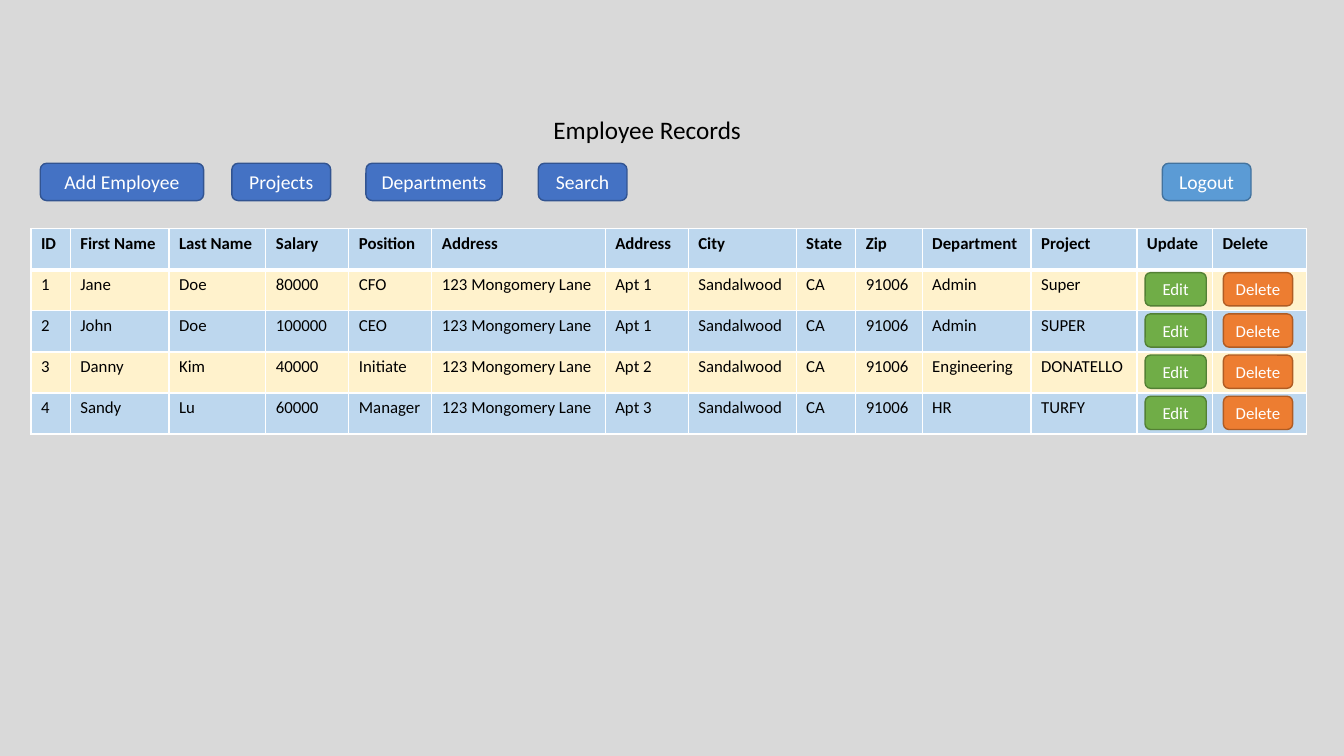
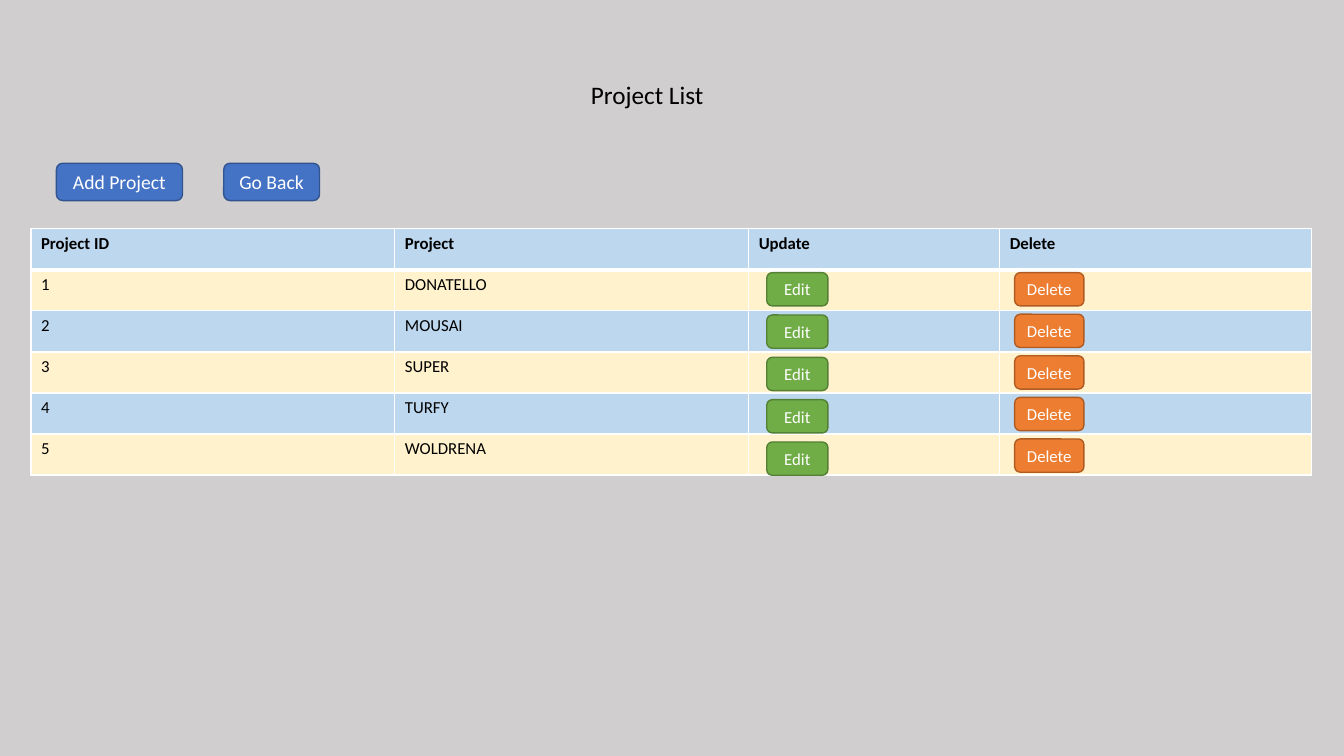
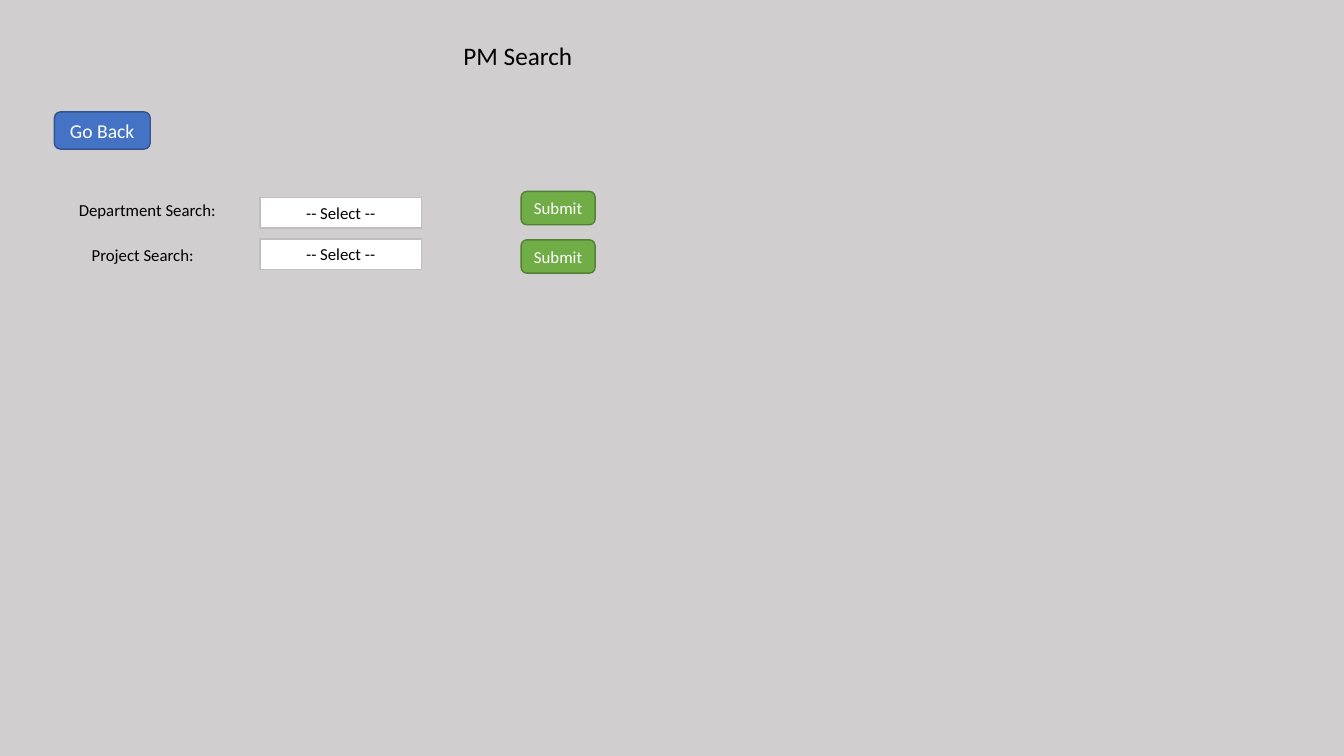
"""Build three screens of an employee records application: records, projects and search."""
from lxml import etree
from pptx import Presentation
from pptx import util as u
from pptx.dml.color import RGBColor
from pptx.enum import shapes, text
from pptx.oxml.ns import qn

WHITE = RGBColor(0xFF, 0xFF, 0xFF)
BLACK = RGBColor(0x00, 0x00, 0x00)
LIGHT_GREY = RGBColor(0xD9, 0xD9, 0xD9)
WARM_GREY = RGBColor(0xD0, 0xCE, 0xCE)
PALE_BLUE = RGBColor(0xBD, 0xD7, 0xEE)
CREAM = RGBColor(0xFF, 0xF2, 0xCC)
BLUE = (RGBColor(0x44, 0x72, 0xC4), RGBColor(0x32, 0x54, 0x91))
SKY = (RGBColor(0x5B, 0x9B, 0xD5), RGBColor(0x43, 0x73, 0x9E))
GREEN = (RGBColor(0x70, 0xAD, 0x47), RGBColor(0x53, 0x80, 0x35))
ORANGE = (RGBColor(0xED, 0x7D, 0x31), RGBColor(0xAF, 0x5C, 0x24))
FIELD = (WHITE, RGBColor(0xBF, 0xBF, 0xBF))

FONT = "Calibri"
LEFT, CENTER, RIGHT = text.PP_ALIGN.LEFT, text.PP_ALIGN.CENTER, text.PP_ALIGN.RIGHT
ROUNDED = shapes.MSO_SHAPE.ROUNDED_RECTANGLE
RECTANGLE = shapes.MSO_SHAPE.RECTANGLE

presentation = Presentation()
presentation.slide_width = u.Inches(13.33)
presentation.slide_height = u.Inches(7.5)
COLUMN = presentation.slide_width / 100
ROW = presentation.slide_height / 100

TITLE_HEIGHT = 5.33
NAV_TOP, NAV_HEIGHT = 21.6, 4.93
TABLE_LEFT, TABLE_TOP, TABLE_ROW = 2.3, 30.27, 5.43
ACTION_TOP, ACTION_HEIGHT = 36.07, 4.4


def write(frame, wording, size, color, alignment, bold=False):
    frame.text = wording
    paragraph = frame.paragraphs[0]
    paragraph.alignment = alignment
    for font in [paragraph.font] + [run.font for run in paragraph.runs]:
        font.name = FONT
        font.size = u.Pt(size)
        font.bold = bold
        font.color.rgb = color


def add_box(slide, wording, left, top, width, height, size=12, colors=None,
            preset=ROUNDED, ink=WHITE, alignment=CENTER):
    area = [u.Emu(round(length)) for length in
            (left * COLUMN, top * ROW, width * COLUMN, height * ROW)]
    if colors:
        shape = slide.shapes.add_shape(preset, *area)
        shape.shadow.inherit = False
        shape.fill.solid()
        shape.fill.fore_color.rgb, shape.line.color.rgb = colors
        shape.line.width = u.Pt(1)
        shape.text_frame.vertical_anchor = text.MSO_ANCHOR.MIDDLE
    else:
        shape = slide.shapes.add_textbox(*area)
    shape.text_frame.word_wrap = not colors
    write(shape.text_frame, wording, size, ink, alignment)


SCREENS = [
    {
        "background": LIGHT_GREY,
        "title": ("Employee Records", 31.28, 14.4, 33.75, CENTER),
        "buttons": [
            ("Add Employee", 3, NAV_TOP, 12.15, BLUE),
            ("Projects", 17.25, NAV_TOP, 7.35, BLUE),
            ("Departments", 27.23, NAV_TOP, 10.13, BLUE),
            ("Search", 40.05, NAV_TOP, 6.6, BLUE),
            ("Logout", 86.48, NAV_TOP, 6.6, SKY),
        ],
        "widths": [2.93, 7.35, 7.2, 6.18, 6.18, 12.9, 6.18, 8.03, 4.43, 4.95, 8.1, 7.88,
                   5.63, 6.98],
        "records": [
            ["ID", "First Name", "Last Name", "Salary", "Position", "Address", "Address",
             "City", "State", "Zip", "Department", "Project", "Update", "Delete"],
            ["1", "Jane", "Doe", "80000", "CFO", "123 Mongomery Lane", "Apt 1",
             "Sandalwood", "CA", "91006", "Admin", "Super", "", ""],
            ["2", "John", "Doe", "100000", "CEO", "123 Mongomery Lane", "Apt 1",
             "Sandalwood", "CA", "91006", "Admin", "SUPER", "", ""],
            ["3", "Danny", "Kim", "40000", "Initiate", "123 Mongomery Lane", "Apt 2",
             "Sandalwood", "CA", "91006", "Engineering", "DONATELLO", "", ""],
            ["4", "Sandy", "Lu", "60000", "Manager", "123 Mongomery Lane", "Apt 3",
             "Sandalwood", "CA", "91006", "HR", "TURFY", "", ""],
        ],
        "actions": [("Edit", 85.2, 4.55, 5.45, GREEN), ("Delete", 91.03, 5.15, 5.45, ORANGE)],
    },
    {
        "background": WARM_GREY,
        "title": ("Project List", 31.28, 9.87, 33.75, CENTER),
        "buttons": [
            ("Add Project", 4.2, NAV_TOP, 9.38, BLUE),
            ("Go Back", 16.65, NAV_TOP, 7.13, BLUE),
        ],
        "widths": [27.08, 26.33, 18.68, 23.18],
        "records": [
            ["Project ID", "Project", "Update", "Delete"],
            ["1", "DONATELLO", "", ""],
            ["2", "MOUSAI", "", ""],
            ["3", "SUPER", "", ""],
            ["4", "TURFY", "", ""],
            ["5", "WOLDRENA", "", ""],
        ],
        "actions": [("Edit", 57.05, 4.55, 5.6, GREEN), ("Delete", 75.5, 5.15, 5.5, ORANGE)],
    },
    {
        "background": WARM_GREY,
        "title": ("PM Search", 33.75, 4.67, 27.9, LEFT),
        "buttons": [("Go Back", 4.05, 14.8, 7.13, BLUE)],
        "records": [],
    },
]

for screen in SCREENS:
    slide = presentation.slides.add_slide(presentation.slide_layouts[6])
    slide.background.fill.solid()
    slide.background.fill.fore_color.rgb = screen["background"]
    wording, left, top, width, alignment = screen["title"]
    add_box(slide, wording, left, top, width, TITLE_HEIGHT, 18, ink=BLACK, alignment=alignment)
    for wording, left, top, width, colors in screen["buttons"]:
        add_box(slide, wording, left, top, width, NAV_HEIGHT, 14, colors)

    records = screen["records"]
    if not records:
        continue
    widths = screen["widths"]
    table = slide.shapes.add_table(
        len(records), len(widths),
        u.Emu(round(TABLE_LEFT * COLUMN)), u.Emu(round(TABLE_TOP * ROW)),
        u.Emu(round(sum(widths) * COLUMN)), u.Emu(round(len(records) * TABLE_ROW * ROW))).table
    for column, width in zip(table.columns, widths):
        column.width = u.Emu(round(width * COLUMN))
    for index, record in enumerate(records):
        table.rows[index].height = u.Emu(round(TABLE_ROW * ROW))
        for position, wording in enumerate(record):
            cell = table.cell(index, position)
            write(cell.text_frame, wording, 12, BLACK, LEFT, bold=index == 0)
            properties = cell._tc.get_or_add_tcPr()
            for side in ("lnL", "lnR", "lnT", "lnB"):
                thick = (index, side) in ((0, "lnB"), (1, "lnT"))
                border = etree.SubElement(properties, qn("a:" + side),
                                          w=str(u.Pt(3 if thick else 1)))
                fill = etree.SubElement(border, qn("a:solidFill"))
                etree.SubElement(fill, qn("a:srgbClr"), val=str(WHITE))
            cell.fill.solid()
            cell.fill.fore_color.rgb = CREAM if index % 2 else PALE_BLUE

    for wording, left, width, pitch, colors in screen["actions"]:
        for index in range(len(records) - 1):
            add_box(slide, wording, left, ACTION_TOP + index * pitch, width, ACTION_HEIGHT,
                    colors=colors)

SEARCHES = [
    ("Department Search:", 1.65, 15.15, 25.73, 26.13, 25.33),
    ("Project Search:", 5.03, 10.13, 31.73, 31.6, 31.73),
]
for wording, left, width, label_top, field_top, submit_top in SEARCHES:
    add_box(slide, wording, left, label_top, width, 4, ink=BLACK, alignment=RIGHT)
    add_box(slide, "-- Select --", 19.35, field_top, 12, 4.05, colors=FIELD,
            preset=RECTANGLE, ink=BLACK)
    add_box(slide, "Submit", 38.78, submit_top, 5.5, ACTION_HEIGHT, colors=GREEN)

presentation.save("out.pptx")
